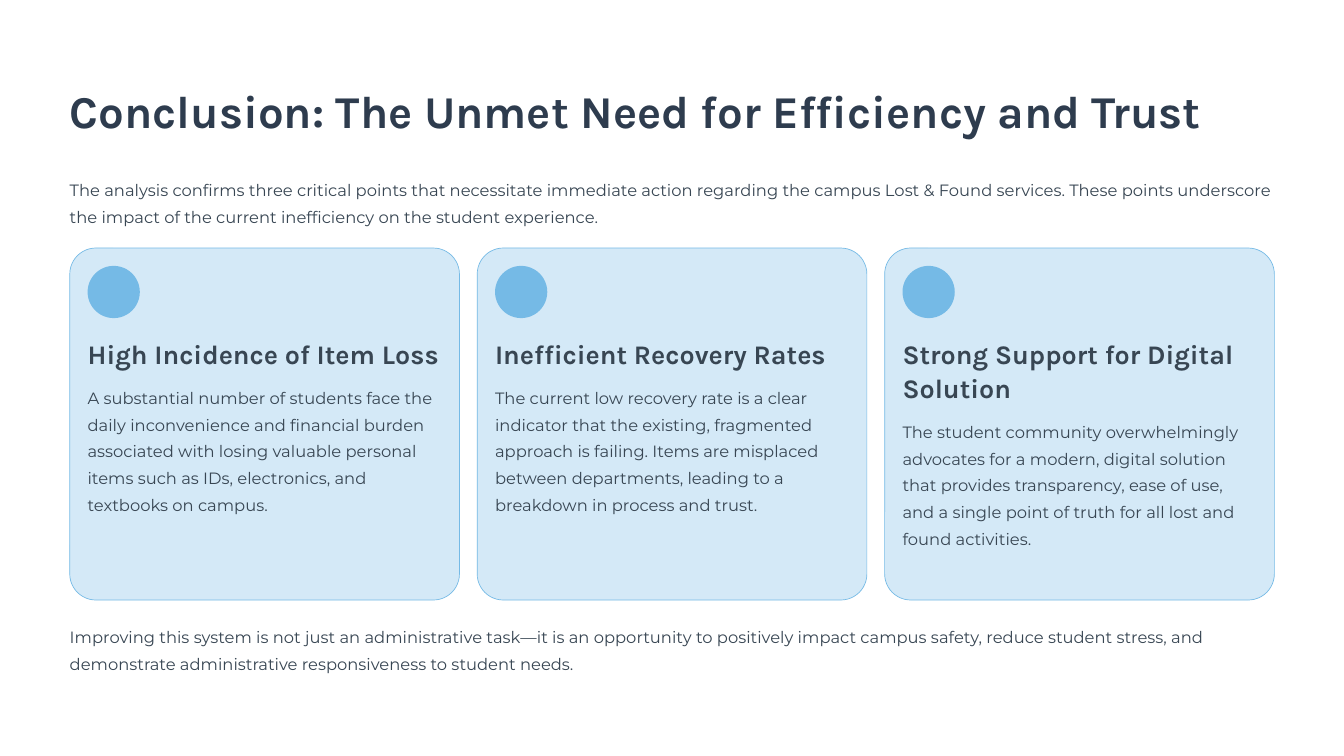
from pptx import Presentation
from pptx.dml.color import RGBColor
from pptx.enum.shapes import MSO_SHAPE as Shape
from pptx.enum.text import MSO_ANCHOR as Anchor, PP_ALIGN as Align
from pptx.util import Pt

# Content
TITLE = "Conclusion: The Unmet Need for Efficiency and Trust"
INTRO = (
    "The analysis confirms three critical points that necessitate immediate action "
    "regarding the campus Lost & Found services. These points underscore the impact "
    "of the current inefficiency on the student experience."
)
CLOSING = (
    "Improving this system is not just an administrative task—it is an opportunity to "
    "positively impact campus safety, reduce student stress, and demonstrate "
    "administrative responsiveness to student needs."
)
# Heading, number of heading lines, body
CARDS = [
    ("High Incidence of Item Loss", 1,
     "A substantial number of students face the daily inconvenience and financial "
     "burden associated with losing valuable personal items such as IDs, electronics, "
     "and textbooks on campus."),
    ("Inefficient Recovery Rates", 1,
     "The current low recovery rate is a clear indicator that the existing, fragmented "
     "approach is failing. Items are misplaced between departments, leading to a "
     "breakdown in process and trust."),
    ("Strong Support for Digital Solution", 2,
     "The student community overwhelmingly advocates for a modern, digital solution "
     "that provides transparency, ease of use, and a single point of truth for all "
     "lost and found activities."),
]

# Colours
NAVY = RGBColor(0x2E, 0x3C, 0x4E)
SLATE = RGBColor(0x38, 0x46, 0x53)
PALE = RGBColor(0xD4, 0xE9, 0xF7)
SKY = RGBColor(0x75, 0xBA, 0xE6)

# Layout, in points
LEFT, WIDTH = 59.8, 1032.5
CARD_TOP, CARD_W, CARD_H = 212.6, 334, 301.7
STEP = (WIDTH - CARD_W) / (len(CARDS) - 1)
PAD, DOT = 15.3, 44.8
HEAD_TOP, HEAD_LINE = 288, 29
BODY_GAP = 9.4

prs = Presentation()
prs.slide_width, prs.slide_height = Pt(1152), Pt(648)
slide = prs.slides.add_slide(prs.slide_layouts[6])


def add_text(text, x, y, w, h, *, font="Montserrat", size=14, line=23,
             color=SLATE, bold=False):
    frame = slide.shapes.add_textbox(Pt(x), Pt(y), Pt(w), Pt(h)).text_frame
    frame.word_wrap = True
    frame.vertical_anchor = Anchor.TOP
    frame.margin_left = frame.margin_right = 0
    frame.margin_top = frame.margin_bottom = 0
    para = frame.paragraphs[0]
    para.alignment = Align.LEFT
    para.line_spacing = Pt(line)
    run = para.add_run()
    run.text = text
    run.font.name = font
    run.font.size = Pt(size)
    run.font.bold = bold
    run.font.color.rgb = color


def add_round(x, y, w, h, fill, adjust, edge=None):
    shape = slide.shapes.add_shape(Shape.ROUNDED_RECTANGLE, Pt(x), Pt(y), Pt(w), Pt(h))
    shape.adjustments[0] = adjust
    shape.shadow.inherit = False
    shape.fill.solid()
    shape.fill.fore_color.rgb = fill
    if edge is None:
        shape.line.fill.background()
    else:
        shape.line.color.rgb = edge
        shape.line.width = Pt(0.6)


# Title and introduction
add_text(TITLE, LEFT, 69, WIDTH, 48.5, font="Karla", size=39, line=49,
         color=NAVY, bold=True)
add_text(INTRO, LEFT, 148.3, WIDTH, 45)

# Cards
for i, (head, lines, body) in enumerate(CARDS):
    x = LEFT + i * STEP
    inner = x + PAD
    add_round(x, CARD_TOP, CARD_W, CARD_H, PALE, 0.074, SKY)
    add_round(inner, CARD_TOP + PAD, DOT, DOT, SKY, 0.5)
    head_h = lines * HEAD_LINE
    add_text(head, inner, HEAD_TOP, 306, head_h, font="Karla", size=23,
             line=HEAD_LINE, bold=True)
    add_text(body, inner, HEAD_TOP + head_h + BODY_GAP, 303.4, 115)

# Closing
add_text(CLOSING, LEFT, 531.4, WIDTH, 45)

prs.save("out.pptx")
